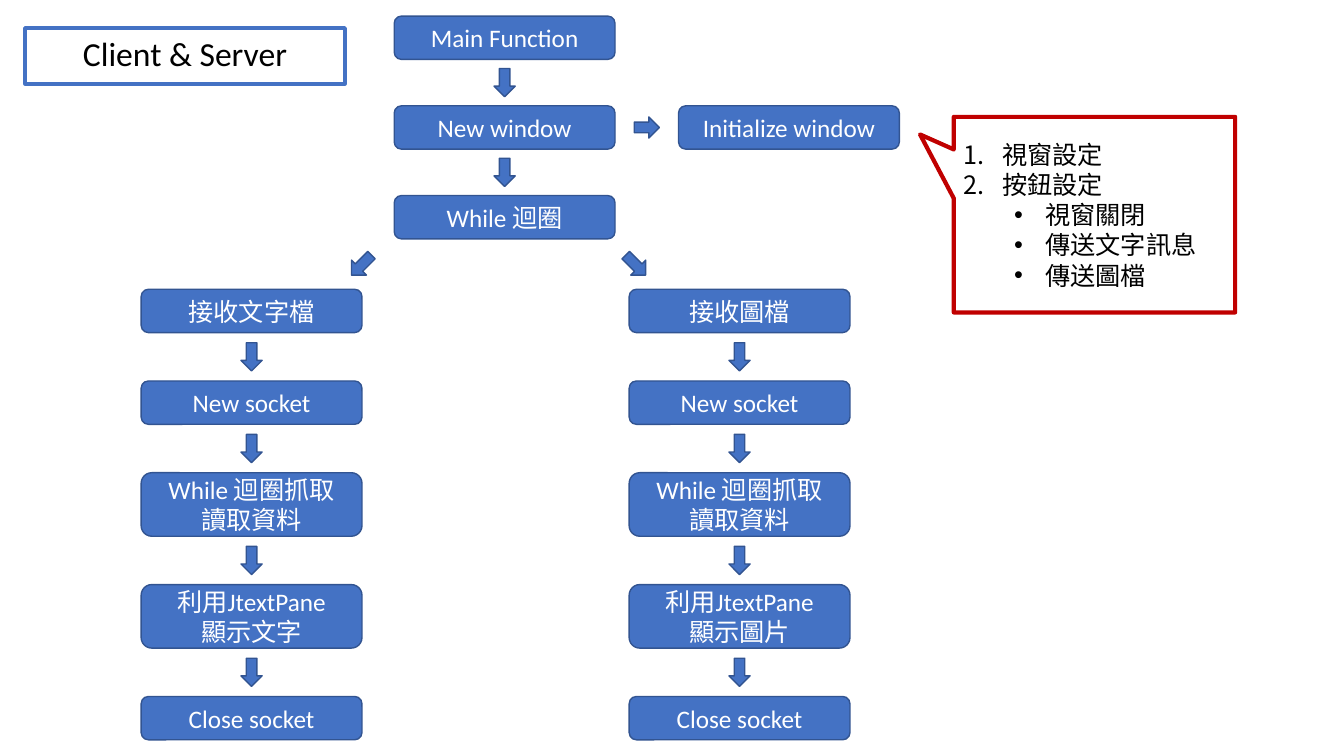
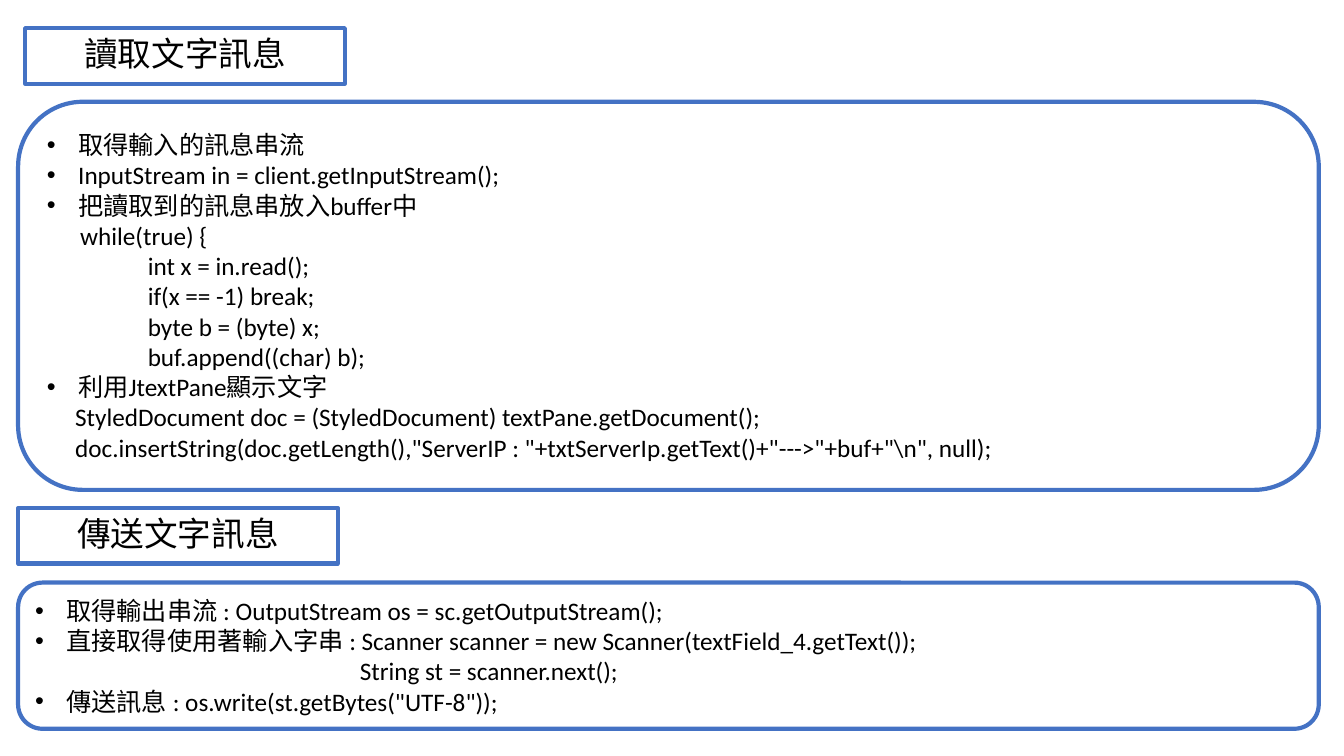
from pptx import Presentation
from pptx.dml.color import RGBColor
from pptx.enum.shapes import MSO_SHAPE as SHAPE
from pptx.enum.text import MSO_ANCHOR as ANCHOR, MSO_AUTO_SIZE as FIT, PP_ALIGN as ALIGN
from pptx.oxml.ns import qn
from pptx.util import Inches, Pt
from lxml import etree

BLUE, EDGE, RED = "4472C4", "325491", "C00000"
BLACK, WHITE = "000000", "FFFFFF"
FONT = "Calibri"
BOX_W, BOX_H, EXTRA_LINE_H = 2.19, 0.43, 0.2
ARROW_W, ARROW_H = 0.21, 0.28
TITLE_W, TITLE_H = 3.17, 0.55


def color(value):
    return RGBColor.from_string(value)


def indent(p, left, hanging=0, mark=None):
    pPr = p._p.get_or_add_pPr()
    pPr.set("marL", str(Inches(left)))
    pPr.set("indent", str(-Inches(hanging)))
    if mark == "1.":
        etree.SubElement(pPr, qn("a:buAutoNum"), type="arabicPeriod")
    elif mark:
        etree.SubElement(pPr, qn("a:buFont"), typeface="Arial")
        etree.SubElement(pPr, qn("a:buChar"), char=mark)


class Deck:
    def __init__(self):
        self.prs = Presentation()
        self.prs.slide_width, self.prs.slide_height = Inches(13.33), Inches(7.5)

    def add_slide(self, title):
        self.slide = self.prs.slides.add_slide(self.prs.slide_layouts[5])
        sp = self.slide.shapes.title
        sp.left, sp.top = Inches(0.25), Inches(0.28)
        sp.width, sp.height = Inches(TITLE_W), Inches(TITLE_H)
        self.style_title(sp, title)

    def paint(self, sp, fill, line, width):
        if fill:
            sp.fill.solid()
            sp.fill.fore_color.rgb = color(fill)
        else:
            sp.fill.background()
        sp.line.color.rgb = color(line)
        sp.line.width = Pt(width)

    def set_text(self, sp, text, size=18, ink=BLACK, align=ALIGN.CENTER):
        tf = sp.text_frame
        tf.text = text
        tf.word_wrap = True
        tf.auto_size = FIT.NONE
        tf.vertical_anchor = ANCHOR.MIDDLE
        for p in tf.paragraphs:
            p.alignment = align
            for r in p.runs:
                r.font.name = FONT
                r.font.size = Pt(size)
                r.font.color.rgb = color(ink)
        return tf.paragraphs

    def style_title(self, sp, text):
        self.paint(sp, WHITE, BLUE, 3)
        for p in self.set_text(sp, text, 24):
            p.line_spacing = 0.9

    def shape(self, kind, left, top, width, height, fill=BLUE, line=EDGE, weight=1):
        sp = self.slide.shapes.add_shape(
            kind, Inches(left), Inches(top), Inches(width), Inches(height))
        sp.shadow.inherit = False
        self.paint(sp, fill, line, weight)
        return sp

    def heading(self, left, top, text):
        sp = self.shape(SHAPE.RECTANGLE, left, top, TITLE_W, TITLE_H)
        self.style_title(sp, text)

    def step(self, left, top, text):
        height = BOX_H + EXTRA_LINE_H * text.count("\n")
        sp = self.shape(SHAPE.ROUNDED_RECTANGLE, left, top, BOX_W, height)
        self.set_text(sp, text, ink=WHITE)
        return top + height

    def down_arrow(self, left, top, rotation=0):
        sp = self.shape(SHAPE.DOWN_ARROW, left, top, ARROW_W, ARROW_H)
        sp.rotation = rotation

    def flow(self, left, top, gap, labels):
        for i, label in enumerate(labels):
            if i:
                self.down_arrow(left + (BOX_W - ARROW_W) / 2, top + (gap - ARROW_H) / 2)
                top += gap
            top = self.step(left, top, label)

    def set_list(self, sp, items):
        text = "\n".join(line for line, *_ in items)
        for p, (_, *layout) in zip(self.set_text(sp, text, align=ALIGN.LEFT), items):
            indent(p, *layout)

    def panel(self, top, height, items):
        sp = self.shape(SHAPE.ROUNDED_RECTANGLE, 0.18, top, 12.9, height, WHITE, BLUE, 3)
        self.set_list(sp, items)

    def callout(self, left, top, width, height, tip, items):
        sp = self.shape(SHAPE.RECTANGULAR_CALLOUT, left, top, width, height, None, RED, 3)
        sp.adjustments[0], sp.adjustments[1] = tip
        self.set_list(sp, items)


BULLET = (0.31, 0.31, "•")
NUMBER = (0.38, 0.38, "1.")
SUB_BULLET = (0.81, 0.31, "•")
LOOP, LOOP_BODY, CALL, SECOND_CALL = (0.33,), (1.0,), (0.28,), (3.22,)

deck = Deck()

deck.add_slide("Client & Server")
deck.flow(3.91, 0.16, 0.46, ["Main Function", "New window", "While 迴圈"])
deck.shape(SHAPE.RIGHT_ARROW, 6.29, 1.16, 0.25, 0.21)
deck.step(6.73, 1.05, "Initialize window")
for left, receive, show, arrow_left, rotation in [
        (1.4, "接收文字檔", "顯示文字", 3.48, 45),
        (6.24, "接收圖檔", "顯示圖片", 6.2, 315)]:
    deck.down_arrow(arrow_left, 2.49, rotation)
    deck.flow(left, 2.87, 0.48, [
        receive, "New socket", "While 迴圈抓取\n讀取資料",
        "利用JtextPane\n" + show, "Close socket"])
deck.callout(9.46, 1.16, 2.79, 1.94, (-0.62, -0.41), [
    ("視窗設定", *NUMBER),
    ("按鈕設定", *NUMBER),
    ("視窗關閉", *SUB_BULLET),
    ("傳送文字訊息", *SUB_BULLET),
    ("傳送圖檔", *SUB_BULLET),
])

deck.add_slide("讀取文字訊息")
deck.panel(1.01, 3.85, [
    ("取得輸入的訊息串流", *BULLET),
    ("InputStream in = client.getInputStream();", *BULLET),
    ("把讀取到的訊息串放入buffer中", *BULLET),
    ("while(true) {", *LOOP),
    ("int x = in.read();", *LOOP_BODY),
    ("if(x == -1) break;", *LOOP_BODY),
    ("byte b = (byte) x;", *LOOP_BODY),
    ("buf.append((char) b);", *LOOP_BODY),
    ("利用JtextPane顯示文字", *BULLET),
    ("StyledDocument doc = (StyledDocument) textPane.getDocument();", *CALL),
    ('doc.insertString(doc.getLength(),"ServerIP : "+txtServerIp.getText()'
     '+"--->"+buf+"\\n", null);', *CALL),
])
deck.heading(0.18, 5.04, "傳送文字訊息")
deck.panel(5.78, 1.45, [
    ("取得輸出串流 : OutputStream os = sc.getOutputStream();", *BULLET),
    ("直接取得使用著輸入字串 : Scanner scanner = new Scanner(textField_4.getText());", *BULLET),
    ("String st = scanner.next();", *SECOND_CALL),
    ('傳送訊息 : os.write(st.getBytes("UTF-8"));', *BULLET),
])

deck.prs.save("out.pptx")
